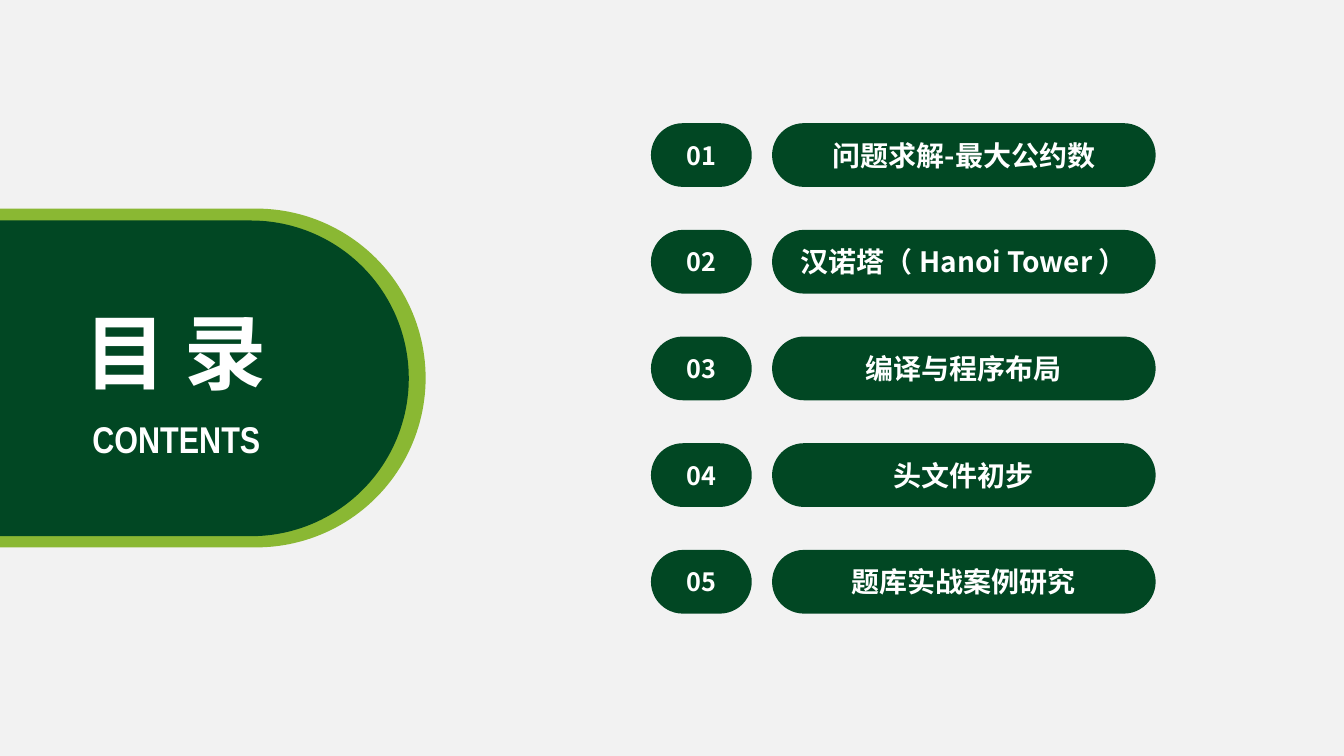
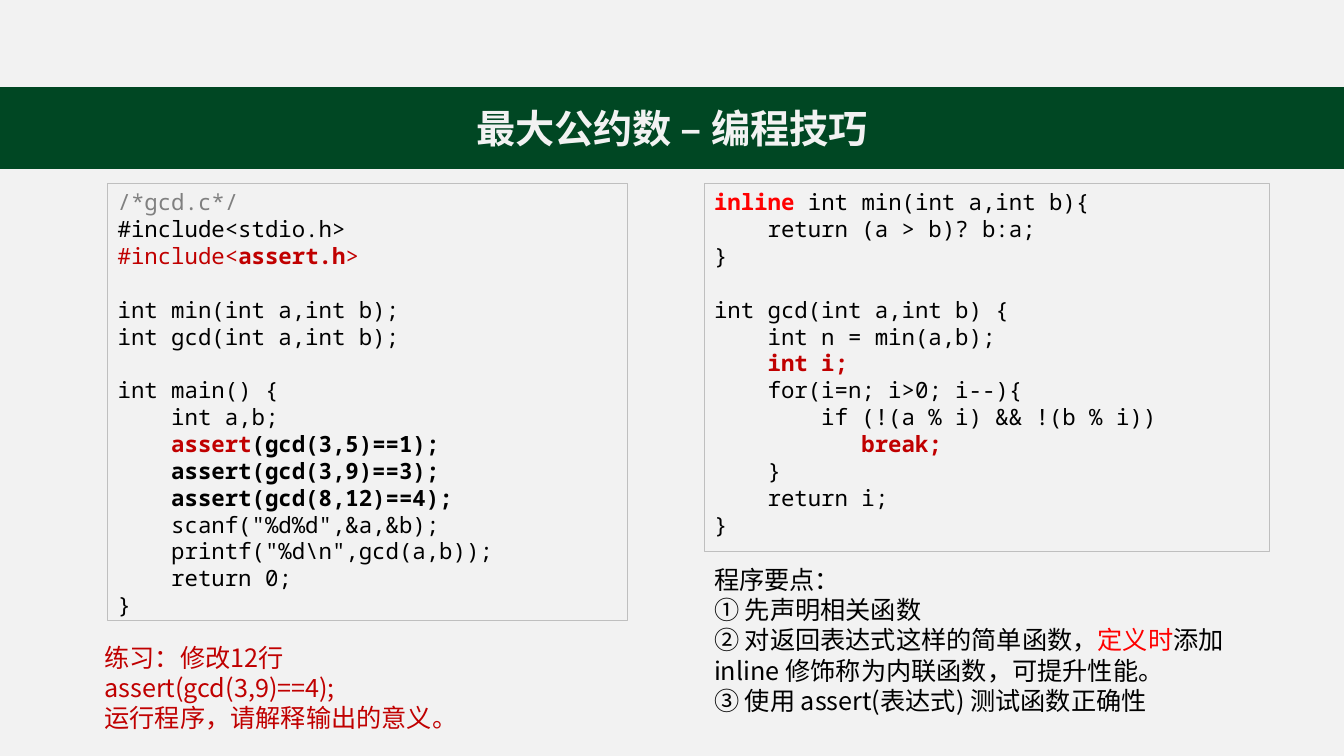
from pptx import Presentation
from pptx.dml.color import RGBColor
from pptx.enum.shapes import MSO_SHAPE as Shape
from pptx.enum.text import MSO_ANCHOR as Anchor, MSO_AUTO_SIZE as AutoSize, PP_ALIGN as Align
from pptx.oxml.ns import qn
from pptx.util import Pt

PAPER = RGBColor(0xF2, 0xF2, 0xF2)
WHITE = RGBColor(0xFF, 0xFF, 0xFF)
BLACK = RGBColor(0x00, 0x00, 0x00)
GREY = RGBColor(0x80, 0x80, 0x80)
FRAME = RGBColor(0xBF, 0xBF, 0xBF)
FOREST = RGBColor(0x01, 0x47, 0x23)
BAND = RGBColor(0x00, 0x47, 0x23)
LIME = RGBColor(0x8A, 0xB8, 0x33)
DARK_RED = RGBColor(0xC0, 0x00, 0x00)
RED = RGBColor(0xFF, 0x00, 0x00)

SANS, MONO, NARROW = "Noto Sans CJK SC", "Noto Sans Mono", "Arial Narrow"
LINE_PITCH = 1.2
TITLE_ONLY = 5

# Run formats that differ from the rest of their text
COMMENT = {"color": GREY}
MARK = {"color": DARK_RED}
STRONG = {"bold": True}
STRONG_MARK = {"color": DARK_RED, "bold": True}
ALERT = {"color": RED}
STRONG_ALERT = {"color": RED, "bold": True}

CHAPTERS = ["问题求解-最大公约数", "汉诺塔（ Hanoi Tower ）", "编译与程序布局",
            "头文件初步", "题库实战案例研究"]

# A line is plain text or a list of (text, format) runs
MAIN_CODE = [
    [("/*gcd.c*/", COMMENT)],
    "#include<stdio.h>",
    [("#include<", MARK), ("assert.h", STRONG_MARK), (">", MARK)],
    "",
    "int min(int a,int b);",
    "int gcd(int a,int b);",
    "",
    "int main() {",
    "    int a,b;",
    [("    assert", STRONG_MARK), ("(gcd(3,5)==1);", STRONG)],
    [("    assert(gcd(3,9)==3);", STRONG)],
    [("    assert(gcd(8,12)==4);", STRONG)],
    '    scanf("%d%d",&a,&b);',
    '    printf("%d\\n",gcd(a,b));',
    "    return 0;",
    "}",
]
GCD_CODE = [
    [("inline", STRONG_ALERT), (" int min(int a,int b){", {})],
    "    return (a > b)? b:a;",
    "}",
    "",
    "int gcd(int a,int b) {",
    "    int n = min(a,b);",
    [("    int i;", STRONG_MARK)],
    "    for(i=n; i>0; i--){",
    "        if (!(a % i) && !(b % i))",
    [("           break;", STRONG_MARK)],
    "    }",
    "    return i;",
    "}",
]
KEY_POINTS = [
    "程序要点：",
    "① 先声明相关函数",
    [("② 对返回表达式这样的简单函数，", {}), ("定义时", ALERT),
     ("添加 inline 修饰称为内联函数，可提升性能。", {})],
    "③ 使用 assert(表达式) 测试函数正确性",
]
EXERCISE = ["练习：修改12行 assert(gcd(3,9)==4);", "运行程序，请解释输出的意义。"]


def set_attributes(target, values):
    for name, value in values.items():
        setattr(target, name, value)


def format_font(font, name, size, color, bold=False):
    """Set the font for Latin and East Asian letters alike."""
    set_attributes(font, {"name": name, "size": Pt(size), "bold": bold})
    font.color.rgb = color
    latin = font._element.find(qn("a:latin"))
    latin.addnext(latin.makeelement(qn("a:ea"), {"typeface": name}))


def write_lines(frame, lines, base, align=Align.LEFT):
    """Fill a text frame; each run's format overrides the base format."""
    for index, line in enumerate(lines):
        paragraph = frame.add_paragraph() if index else frame.paragraphs[0]
        set_attributes(paragraph, {"alignment": align,
                                   "line_spacing": Pt(LINE_PITCH * base["size"])})
        runs = [(line, {})] if isinstance(line, str) else line
        for text, changes in runs:
            run = paragraph.add_run()
            run.text = text
            format_font(run.font, **{**base, **changes})


def set_box(frame, anchor=Anchor.TOP, wrap=True):
    set_attributes(frame, {"vertical_anchor": anchor, "word_wrap": wrap,
                           "auto_size": AutoSize.NONE})


def add_panel(slide, kind, box, fill=None, line=None):
    panel = slide.shapes.add_shape(kind, *map(Pt, box))
    panel.shadow.inherit = False
    if fill is None:
        panel.fill.background()
    else:
        panel.fill.solid()
        panel.fill.fore_color.rgb = fill
    if line is None:
        panel.line.fill.background()
    else:
        panel.line.color.rgb = line
        panel.line.width = Pt(0.75)
    return panel


def add_pill(slide, box, fill, label="", size=18):
    pill = add_panel(slide, Shape.ROUNDED_RECTANGLE, box, fill)
    pill.adjustments[0] = 0.5
    if label:
        set_box(pill.text_frame, Anchor.MIDDLE)
        write_lines(pill.text_frame, [label],
                    {"name": SANS, "size": size, "color": WHITE, "bold": True}, Align.CENTER)


def add_code(slide, box, lines):
    listing = add_panel(slide, Shape.RECTANGLE, box, line=FRAME)
    set_box(listing.text_frame, wrap=False)
    write_lines(listing.text_frame, lines, {"name": MONO, "size": 16, "color": BLACK})


def add_text(slide, box, lines, base, align=Align.LEFT):
    frame = slide.shapes.add_textbox(*map(Pt, box)).text_frame
    set_box(frame)
    write_lines(frame, lines, base, align)


def place_title(slide, box, text, size, color):
    """Move the title placeholder to its box, in front of what is drawn so far."""
    title = slide.shapes.title
    edges = zip(("left", "top", "width", "height"), map(Pt, box))
    set_attributes(title, dict(edges))
    set_box(title.text_frame, Anchor.MIDDLE)
    write_lines(title.text_frame, [text],
                {"name": SANS, "size": size, "color": color, "bold": True}, Align.CENTER)
    title.element.getparent().append(title.element)
    return title


def build_contents(slide):
    add_pill(slide, (-141, 149, 445, 242), LIME)
    add_pill(slide, (-122, 157.5, 414, 225.5), FOREST)
    place_title(slide, (50, 211, 151, 78.5), "目 录", 58.6, WHITE)
    add_text(slide, (45, 294, 162, 39.5), ["CONTENTS"],
             {"name": NARROW, "size": 26.6, "color": WHITE, "bold": True}, Align.CENTER)
    top, pitch, height = 88, 76.2, 45.5
    for index, chapter in enumerate(CHAPTERS):
        y = top + index * pitch
        add_pill(slide, (465, y, 72, height), FOREST, f"{index + 1:02}")
        add_pill(slide, (551.5, y, 274, height), FOREST, chapter, 20)


def build_gcd(slide):
    band = place_title(slide, (0, 62.5, 960, 58), "最大公约数 – 编程技巧", 28, PAPER)
    band.fill.solid()
    band.fill.fore_color.rgb = BAND
    band.line.color.rgb = BAND
    band.line.width = Pt(1)
    code_top, right_column, right_width = 131, 503, 404
    add_code(slide, (77, code_top, 371, 312.5), MAIN_CODE)
    add_code(slide, (right_column, code_top, right_width, 263), GCD_CODE)
    add_text(slide, (right_column, 399.5, right_width, 115), KEY_POINTS,
             {"name": SANS, "size": 18, "color": BLACK})
    add_text(slide, (67.5, 455, 300, 72), EXERCISE,
             {"name": SANS, "size": 18, "color": DARK_RED})


def main():
    deck = Presentation()
    set_attributes(deck, {"slide_width": Pt(960), "slide_height": Pt(540)})
    backdrop = deck.slide_master.background.fill
    backdrop.solid()
    backdrop.fore_color.rgb = PAPER
    for build in (build_contents, build_gcd):
        build(deck.slides.add_slide(deck.slide_layouts[TITLE_ONLY]))
    deck.save("out.pptx")


if __name__ == "__main__":
    main()
